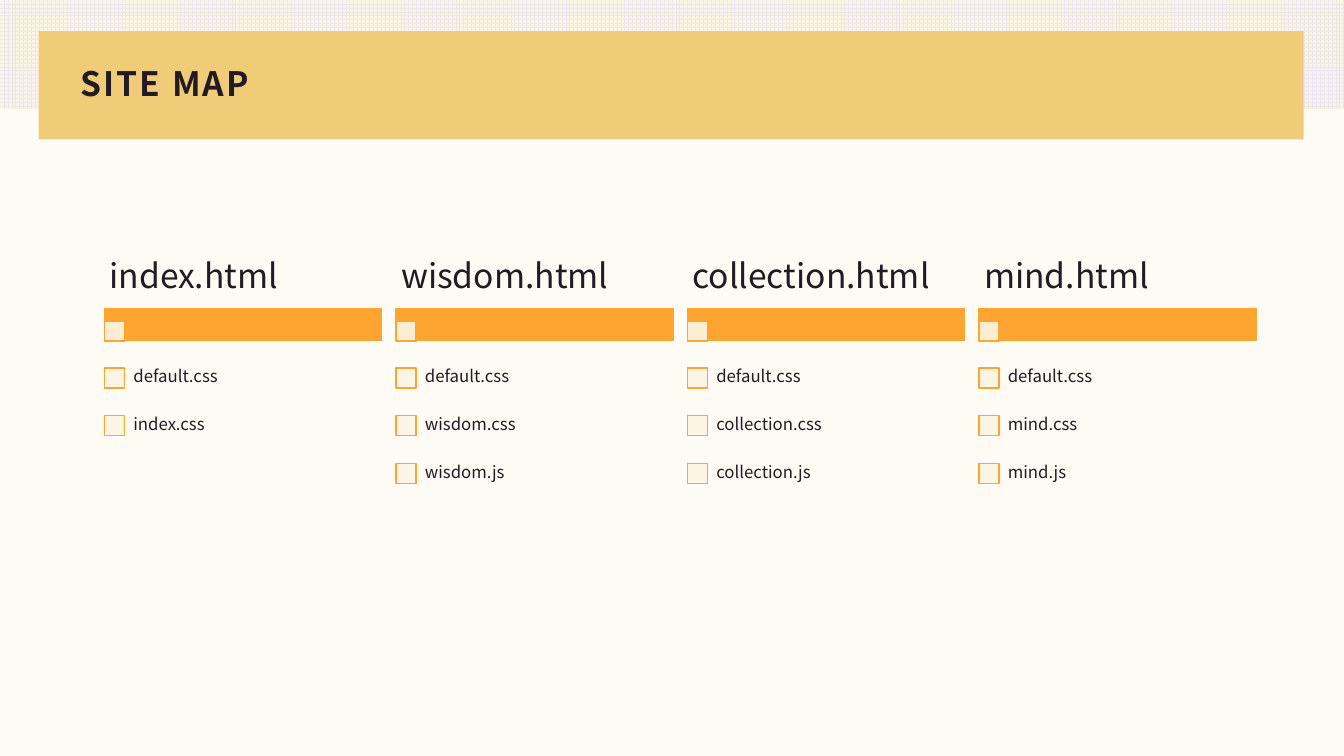
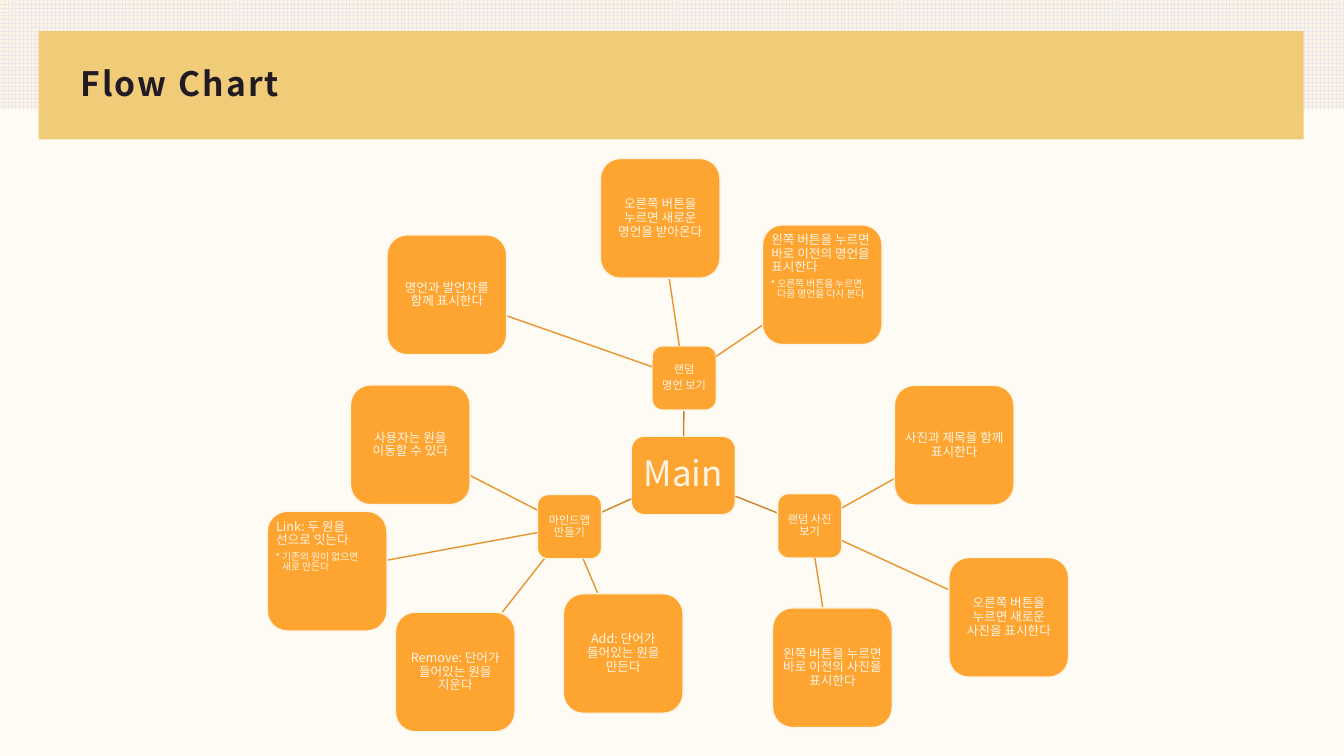
import collections

import pptx
import pptx.dml.color
import pptx.enum.dml
import pptx.enum.shapes
import pptx.enum.text
import pptx.oxml.ns
import pptx.util
from lxml import etree

RGBColor = pptx.dml.color.RGBColor
SHAPE = pptx.enum.shapes.MSO_SHAPE
ALIGN = pptx.enum.text.PP_ALIGN
ANCHOR = pptx.enum.text.MSO_ANCHOR

PAPER = RGBColor(0xFE, 0xFB, 0xF5)
CREAM = RGBColor(0xFC, 0xF5, 0xE5)
PALE_ORANGE = RGBColor(0xFC, 0xED, 0xD3)
LILAC = RGBColor(0xEB, 0xE6, 0xEB)
GOLD = RGBColor(0xF0, 0xCC, 0x79)
ORANGE = RGBColor(0xFD, 0xA4, 0x31)
DARK_ORANGE = RGBColor(0xCB, 0x83, 0x27)
MID_ORANGE = RGBColor(0xE6, 0x95, 0x2C)
INK = RGBColor(0x23, 0x1B, 0x23)

TITLE_FONT = "Noto Sans CJK KR"
BODY_FONT = "Noto Sans CJK JP"

COLUMNS, ROWS = 160, 90
CELL = pptx.util.Inches(1) / 12

Node = collections.namedtuple("Node", "x y width height")


def cells(count):
    return pptx.util.Emu(round(count * CELL))


def add_xml(parent, tag, **attributes):
    return etree.SubElement(parent, pptx.oxml.ns.qn(tag), **attributes)


class Deck:
    """Shared style and the current slide; lengths are cells of a 160 by 90 grid."""

    def __init__(self):
        self.presentation = pptx.Presentation()
        self.presentation.slide_width = cells(COLUMNS)
        self.presentation.slide_height = cells(ROWS)
        background = self.presentation.slide_master.background.fill
        background.solid()
        background.fore_color.rgb = PAPER
        self.slide = None

    def new_slide(self, title):
        self.slide = self.presentation.slides.add_slide(self.presentation.slide_layouts[6])
        band = self.box(0, 0, COLUMNS, 12.96, CREAM)
        band.fill.patterned()
        band.fill.pattern = pptx.enum.dml.MSO_PATTERN.LARGE_GRID
        band.fill.fore_color.rgb = LILAC
        band.fill.back_color.rgb = CREAM
        self.box(4.6, 3.7, 150.6, 12.9, GOLD)
        paragraph = self.text(8.4, 6.4, 143.2, 7.7, title, 24, (1.2, 0.6), TITLE_FONT)
        paragraph.font.bold = True
        paragraph._p.pPr.get_or_add_defRPr().set("spc", "150")

    def box(self, left, top, width, height, fill, line=None, preset=SHAPE.RECTANGLE):
        shape = self.slide.shapes.add_shape(
            preset, cells(left), cells(top), cells(width), cells(height))
        shape.shadow.inherit = False
        shape.fill.solid()
        shape.fill.fore_color.rgb = fill
        if line is None:
            shape.line.fill.background()
        else:
            shape.line.color.rgb = line
            shape.line.width = pptx.util.Pt(1)
        return shape

    def prepare_frame(self, shape, inset, anchor=ANCHOR.MIDDLE):
        """Set wrapping, anchor and the (side, top and bottom) insets."""
        frame = shape.text_frame
        frame.word_wrap = True
        frame.vertical_anchor = anchor
        frame.margin_left = frame.margin_right = cells(inset[0])
        frame.margin_top = frame.margin_bottom = cells(inset[1])
        return frame

    def style(self, paragraph, size, color, font_name=BODY_FONT, align=ALIGN.LEFT):
        paragraph.alignment = align
        paragraph.line_spacing = 0.9
        font = paragraph.font
        font.size = pptx.util.Pt(size)
        font.name = font_name
        font.color.rgb = color
        add_xml(paragraph._p.pPr.get_or_add_defRPr(), "a:ea", typeface=font_name)

    def text(self, left, top, width, height, words, size, inset, font_name=BODY_FONT):
        shape = self.slide.shapes.add_textbox(
            cells(left), cells(top), cells(width), cells(height))
        paragraph = self.prepare_frame(shape, inset).paragraphs[0]
        paragraph.text = words
        self.style(paragraph, size, INK, font_name)
        return paragraph

    def page_column(self, left, page, files):
        """Draw a page heading, its bar and the list of files it loads."""
        width, marker, item_pitch = 33, 2.4, 5.68
        self.box(left, 36.7, width, 3.85, ORANGE, ORANGE)
        self.box(left, 38.2, marker, marker, PALE_ORANGE, ORANGE)
        self.text(left, 29.6, width, 7, page, 24, (0.6, 0.36))
        for index, name in enumerate(files):
            drop = index * item_pitch
            self.box(left, 43.8 + drop, marker, marker, CREAM, ORANGE)
            self.text(left + 2.35, 42.1 + drop, width - 2.35, item_pitch,
                      name, 12, (1.08, 1.08))

    def node(self, node, lines, size, inset, note=None):
        """Draw a rounded box centred on the node; a note turns it into a list."""
        shape = self.box(node.x - node.width / 2, node.y - node.height / 2,
                         node.width, node.height, ORANGE, CREAM, SHAPE.ROUNDED_RECTANGLE)
        frame = self.prepare_frame(
            shape, (inset, inset), ANCHOR.TOP if note else ANCHOR.MIDDLE)
        frame.text = "\n".join(lines)
        for paragraph in frame.paragraphs:
            self.style(paragraph, size, CREAM, align=ALIGN.LEFT if note else ALIGN.CENTER)
            paragraph.space_after = pptx.util.Pt(3)
        if note:
            self.bullet(frame.add_paragraph(), note)

    def bullet(self, paragraph, words):
        paragraph.text = words
        paragraph.level = 1
        properties = paragraph._p.get_or_add_pPr()
        indent = cells(0.72)
        properties.set("marL", str(indent))
        properties.set("indent", str(-indent))
        paragraph.line_spacing = 0.9
        add_xml(properties, "a:buChar", char="•")
        self.style(paragraph, 7, CREAM)

    def link(self, start, end, color):
        """Join two nodes along the line of their centres, from edge to edge."""
        across, down = end.x - start.x, end.y - start.y

        def edge(node, direction):
            share = min(size / 2 / abs(distance)
                        for size, distance in ((node.width, across), (node.height, down))
                        if distance)
            return (cells(node.x + direction * share * across),
                    cells(node.y + direction * share * down))

        connector = self.slide.shapes.add_connector(
            pptx.enum.shapes.MSO_CONNECTOR.STRAIGHT, *edge(start, 1), *edge(end, -1))
        connector.line.color.rgb = color
        connector.line.width = pptx.util.Pt(1)
        add_xml(connector._element.spPr, "a:effectLst")


PAGES = [
    ("index.html", ["default.css", "index.css"]),
    ("wisdom.html", ["default.css", "wisdom.css", "wisdom.js"]),
    ("collection.html", ["default.css", "collection.css", "collection.js"]),
    ("mind.html", ["default.css", "mind.css", "mind.js"]),
]

# Each branch: hub centre, hub lines, leaves as (centre, words, optional note).
BRANCHES = [
    ((81.45, 45), ["랜덤", "명언 보기"], [
        ((53.2, 35.1), "명언과 발언자를 함께 표시한다"),
        ((78.6, 26), "오른쪽 버튼을 누르면 새로운 명언을 받아온다"),
        ((97.9, 33.9), "왼쪽 버튼을 누르면 바로 이전의 명언을 표시한다",
         "오른쪽 버튼을 누르면 다음 명언을 다시 본다"),
    ]),
    ((96.4, 62.6), ["랜덤 사진 보기"], [
        ((113.6, 53), "사진과 제목을 함께 표시한다"),
        ((120.1, 73.5), "오른쪽 버튼을 누르면 새로운 사진을 표시한다"),
        ((99.1, 79.5), "왼쪽 버튼을 누르면 바로 이전의 사진을 표시한다"),
    ]),
    ((67.8, 62.7), ["마인드맵 만들기"], [
        ((74.2, 77.8), "Add: 단어가 들어있는 원을 만든다"),
        ((54.2, 80), "Remove: 단어가 들어있는 원을 지운다"),
        ((38.95, 68), "Link: 두 원을 선으로 잇는다", "기존의 원이 없으면 새로 만든다"),
        ((48.85, 52.95), "사용자는 원을 이동할 수 있다"),
    ]),
]


def build_site_map(deck):
    deck.new_slide("SITE MAP")
    for index, (page, files) in enumerate(PAGES):
        deck.page_column(12.45 + index * 34.7, page, files)


def build_flow_chart(deck):
    deck.new_slide("Flow Chart")
    hub_size, leaf_size = 7.65, 14.25
    main_node = Node(81.35, 56.6, 12.4, 9.35)
    deck.node(main_node, ["Main"], 25, 0.84)
    for hub_centre, hub_lines, leaves in BRANCHES:
        hub = Node(*hub_centre, hub_size, hub_size)
        deck.link(main_node, hub, DARK_ORANGE)
        deck.node(hub, hub_lines, 8, 0.24)
        for leaf_centre, words, *note in leaves:
            leaf = Node(*leaf_centre, leaf_size, leaf_size)
            deck.link(hub, leaf, MID_ORANGE)
            deck.node(leaf, [words], 9, 0.36, *note)


def main():
    deck = Deck()
    build_site_map(deck)
    build_flow_chart(deck)
    deck.presentation.save("out.pptx")


if __name__ == "__main__":
    main()
